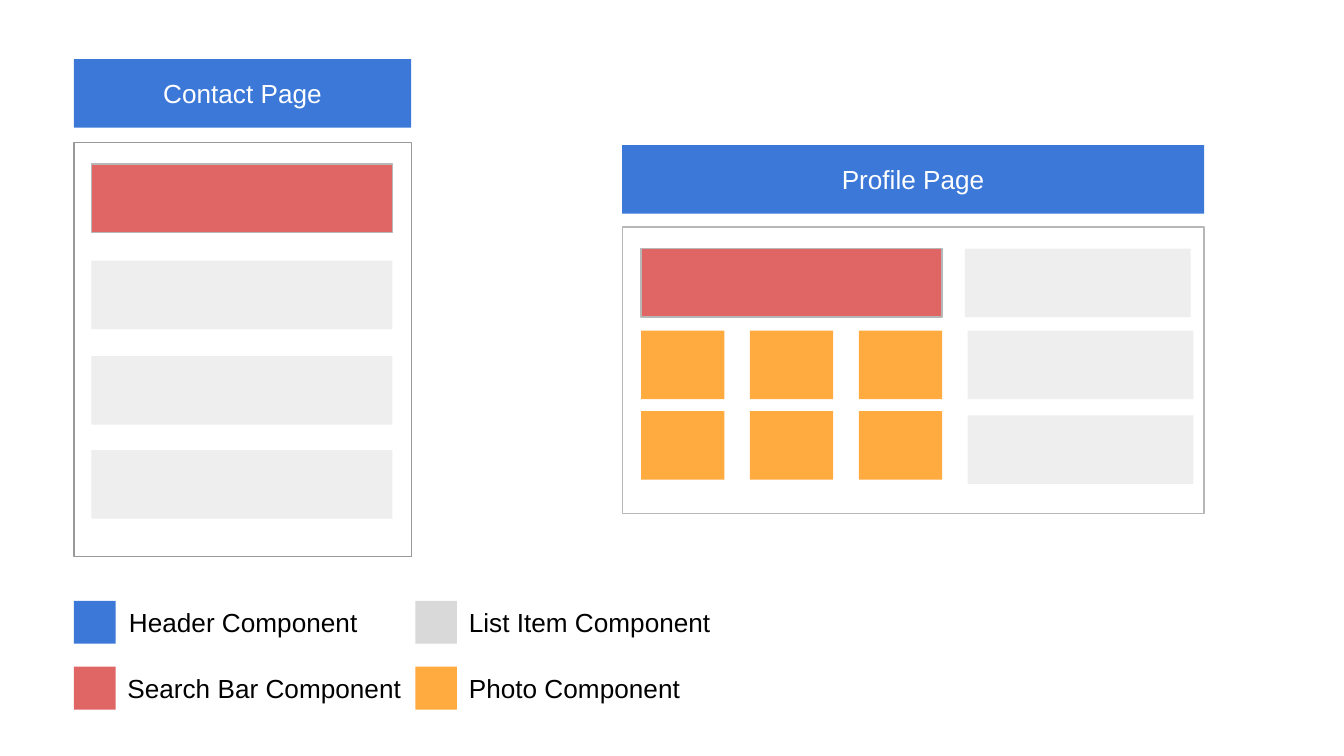
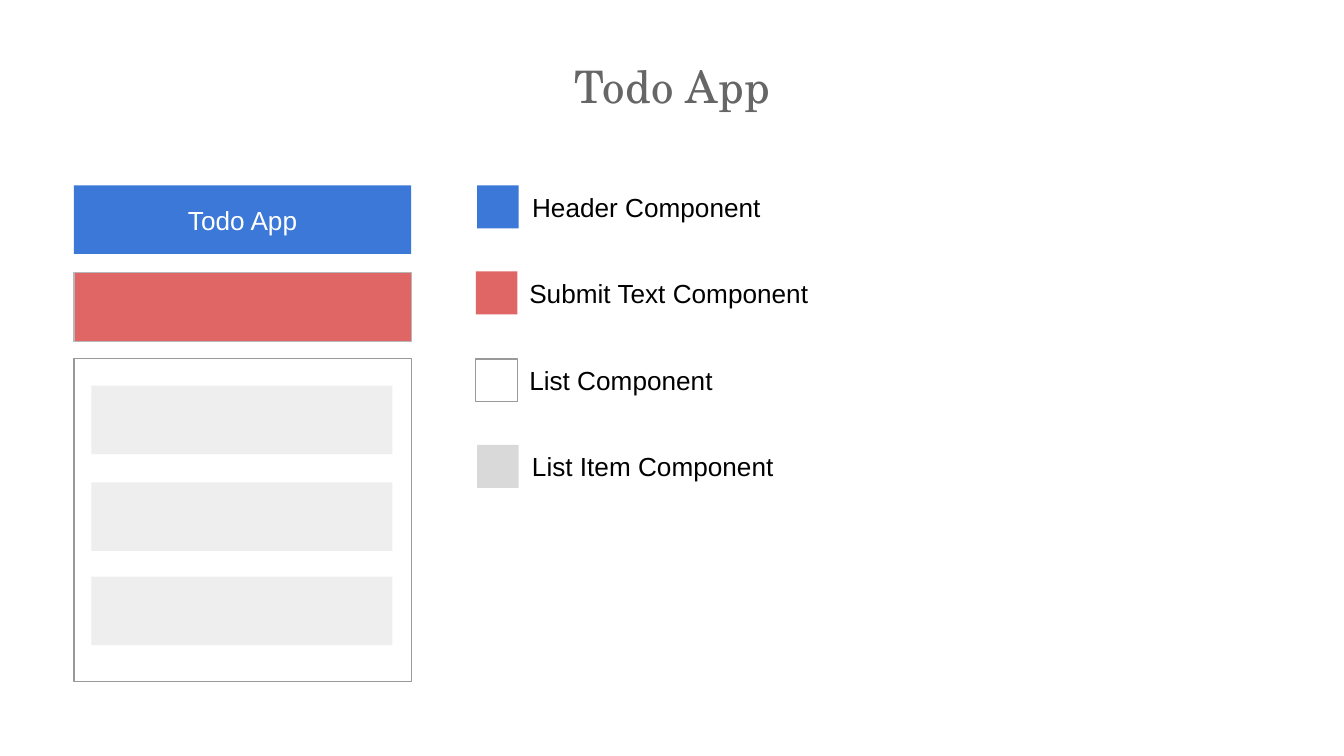
from pptx import Presentation
from pptx.dml.color import RGBColor
from pptx.enum.shapes import MSO_SHAPE
from pptx.enum.text import MSO_ANCHOR, MSO_AUTO_SIZE, PP_ALIGN
from pptx.util import Inches, Pt

RECTANGLE = MSO_SHAPE.RECTANGLE
MIDDLE = MSO_ANCHOR.MIDDLE
NO_AUTOFIT = MSO_AUTO_SIZE.NONE
LEFT, CENTER = PP_ALIGN.LEFT, PP_ALIGN.CENTER
TITLE_ONLY, BLANK = 5, 6

COLORS = {
    "header": "3C78D8",
    "input": "E06666",
    "item": "EEEEEE",
    "item_key": "D9D9D9",
    "photo": "FFAB40",
    "panel": "FFFFFF",
    "outline": "999999",
    "soft_outline": "B7B7B7",
    "white": "FFFFFF",
    "black": "000000",
    "title": "666666",
}
LABEL = {"name": "Arial", "size": Pt(14)}
TITLE = {"name": "TeX Gyre Schola", "size": Pt(24), "bold": False}

SLIDE_WIDTH = Inches(10)
SLIDE_HEIGHT = SLIDE_WIDTH * 9 // 16

BAR_HEIGHT = 0.51
PHONE_LEFT, PHONE_WIDTH = 0.55, 2.51
ROW_LEFT, ROW_WIDTH = 0.68, 2.24
KEY_WIDTH, KEY_HEIGHT = 0.31, 0.32

CONTACT_ITEM_TOPS = [1.94, 2.65, 3.35]
TODO_ITEM_TOPS = [2.87, 3.59, 4.29]

PROFILE_LEFT, PROFILE_WIDTH = 4.63, 4.33
PROFILE_INNER_LEFT = 4.77
PHOTO_WIDTH, PHOTO_STEP = 0.62, 0.81
PHOTO_COLUMNS = 3
PHOTO_TOPS = [2.46, 3.06]
PROFILE_ITEMS = [(7.18, 1.85), (7.2, 2.46), (7.2, 3.09)]

PAGES_LEGEND = [
    ("Header Component", "header", None, 0.55, 4.47, 0.85, 1.92, CENTER),
    ("Search Bar Component", "input", None, 0.55, 4.96, 0.85, 2.24, LEFT),
    ("List Item Component", "item_key", None, 3.09, 4.47, 3.39, 2.51, LEFT),
    ("Photo Component", "photo", None, 3.09, 4.96, 3.39, 2.51, LEFT),
]
TODO_LEGEND = [
    ("Header Component", "header", None, 3.55, 1.38, 3.85, 1.92, CENTER),
    ("Submit Text Component", "input", None, 3.54, 2.02, 3.84, 2.53, LEFT),
    ("List Component", "panel", "outline", 3.54, 2.67, 3.84, 2.24, LEFT),
    ("List Item Component", "item_key", None, 3.55, 3.31, 3.86, 2.51, LEFT),
]


def rgb(color):
    return RGBColor.from_string(COLORS[color])


def write(shape, text, color, style, alignment):
    frame = shape.text_frame
    settings = {"word_wrap": True, "auto_size": NO_AUTOFIT, "vertical_anchor": MIDDLE}
    for side in ("left", "top", "right", "bottom"):
        settings[f"margin_{side}"] = Inches(0.1)
    for name, value in settings.items():
        setattr(frame, name, value)
    paragraph = frame.paragraphs[0]
    paragraph.alignment = alignment
    run = paragraph.add_run()
    run.text = text
    for name, value in style.items():
        setattr(run.font, name, value)
    run.font.color.rgb = rgb(color)


def add_block(slide, fill, left, top, width, height=BAR_HEIGHT, outline=None):
    box = [Inches(value) for value in (left, top, width, height)]
    shape = slide.shapes.add_shape(RECTANGLE, *box)
    shape.shadow.inherit = False
    shape.fill.solid()
    shape.fill.fore_color.rgb = rgb(fill)
    if outline:
        shape.line.color.rgb = rgb(outline)
        shape.line.width = Pt(0.75)
    else:
        shape.line.fill.background()
    return shape


def add_header(slide, text, left, top, width):
    header = add_block(slide, "header", left, top, width)
    write(header, text, "white", LABEL, CENTER)


def add_phone(slide, text, header_top, panel_top, panel_height, item_tops):
    add_header(slide, text, PHONE_LEFT, header_top, PHONE_WIDTH)
    add_block(slide, "panel", PHONE_LEFT, panel_top, PHONE_WIDTH, panel_height, "outline")
    for top in item_tops:
        add_block(slide, "item", ROW_LEFT, top, ROW_WIDTH)


def add_input(slide, left, top, width):
    add_block(slide, "input", left, top, width, outline="soft_outline")


def add_profile(slide):
    add_header(slide, "Profile Page", PROFILE_LEFT, 1.08, PROFILE_WIDTH)
    add_block(slide, "panel", PROFILE_LEFT, 1.69, PROFILE_WIDTH, 2.13, "soft_outline")
    add_input(slide, PROFILE_INNER_LEFT, 1.85, ROW_WIDTH)
    for top in PHOTO_TOPS:
        for column in range(PHOTO_COLUMNS):
            left = PROFILE_INNER_LEFT + column * PHOTO_STEP
            add_block(slide, "photo", left, top, PHOTO_WIDTH)
    for left, top in PROFILE_ITEMS:
        add_block(slide, "item", left, top, 1.68)


def add_legend(slide, entries):
    for text, fill, outline, left, top, text_left, text_width, alignment in entries:
        add_block(slide, fill, left, top, KEY_WIDTH, KEY_HEIGHT, outline)
        box = [Inches(value) for value in (text_left, top, text_width, KEY_HEIGHT)]
        write(slide.shapes.add_textbox(*box), text, "black", LABEL, alignment)


def add_title(slide, text):
    title = slide.shapes.title
    title.left, title.top = Inches(2.81), Inches(0.21)
    title.width, title.height = Inches(4.38), Inches(0.85)
    write(title, text, "title", TITLE, CENTER)


def build_pages_slide(presentation):
    slide = presentation.slides.add_slide(presentation.slide_layouts[BLANK])
    add_phone(slide, "Contact Page", 0.44, 1.06, 3.08, CONTACT_ITEM_TOPS)
    add_input(slide, ROW_LEFT, 1.22, ROW_WIDTH)
    add_profile(slide)
    add_legend(slide, PAGES_LEGEND)


def build_todo_slide(presentation):
    slide = presentation.slides.add_slide(presentation.slide_layouts[TITLE_ONLY])
    add_title(slide, "Todo App")
    add_phone(slide, "Todo App", 1.38, 2.67, 2.4, TODO_ITEM_TOPS)
    add_input(slide, PHONE_LEFT, 2.03, PHONE_WIDTH)
    add_legend(slide, TODO_LEGEND)


def main():
    presentation = Presentation()
    presentation.slide_width = SLIDE_WIDTH
    presentation.slide_height = SLIDE_HEIGHT
    build_pages_slide(presentation)
    build_todo_slide(presentation)
    presentation.save("out.pptx")


if __name__ == "__main__":
    main()
